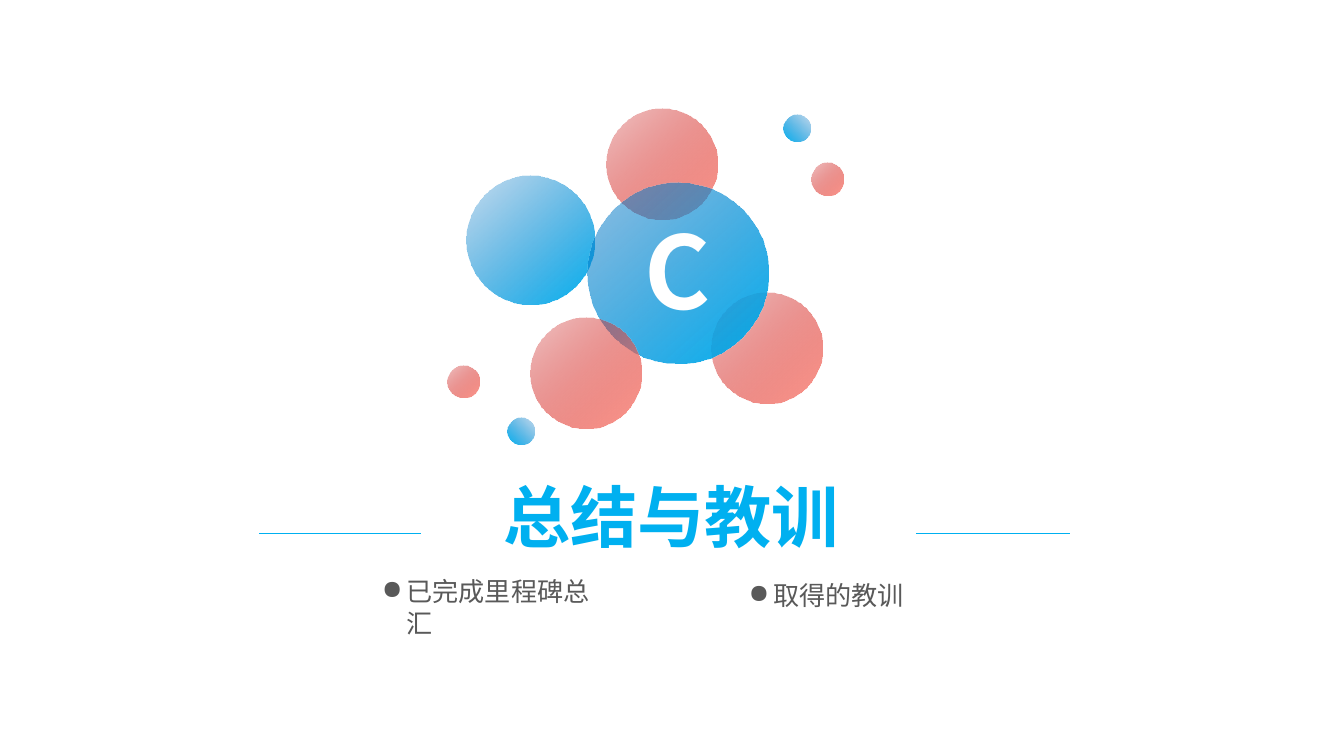
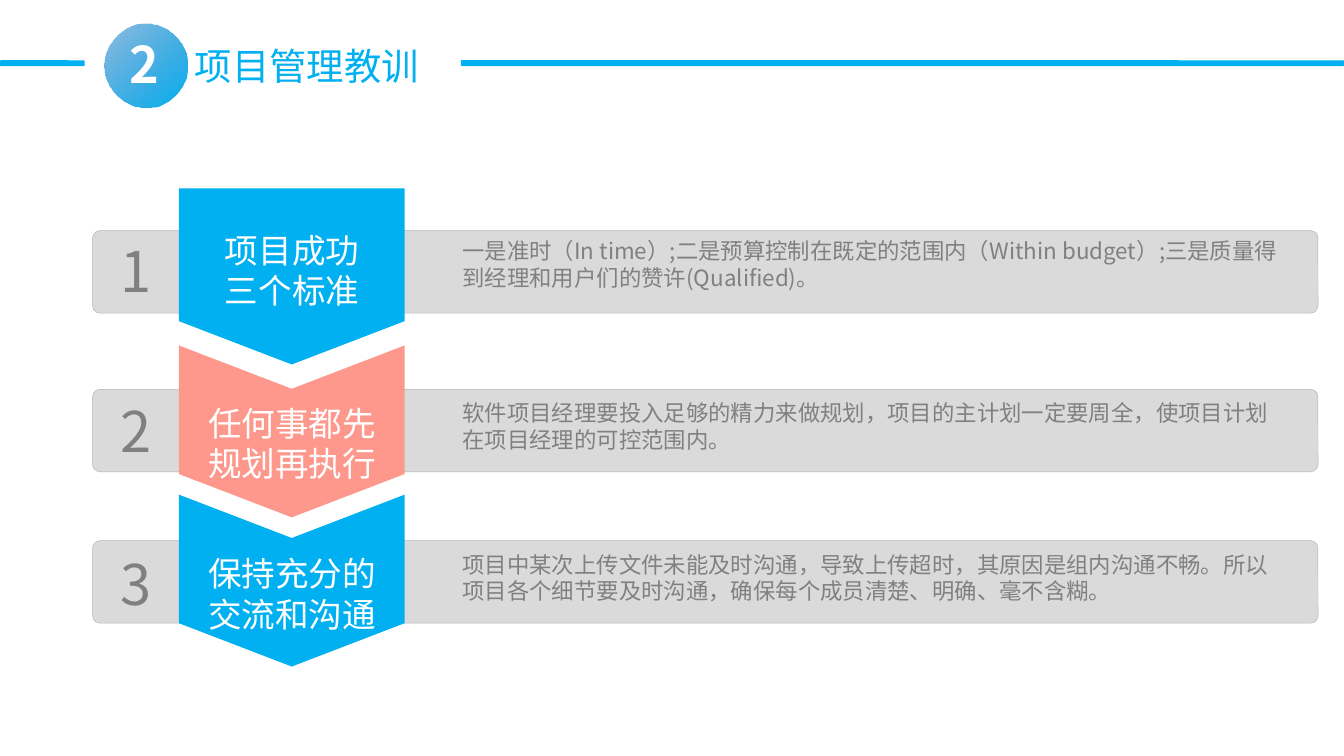
from lxml import etree
from pptx import Presentation
from pptx.dml.color import RGBColor
from pptx.enum.shapes import MSO_CONNECTOR, MSO_SHAPE
from pptx.enum.text import MSO_AUTO_SIZE, PP_ALIGN
from pptx.oxml.ns import qn
from pptx.util import Cm, Pt

OVAL, ROUNDED = MSO_SHAPE.OVAL, MSO_SHAPE.ROUNDED_RECTANGLE
STRAIGHT = MSO_CONNECTOR.STRAIGHT
LEFT, CENTER = PP_ALIGN.LEFT, PP_ALIGN.CENTER
GROW = MSO_AUTO_SIZE.SHAPE_TO_FIT_TEXT

FONT = "Noto Sans CJK SC"
BLUE, CORAL, WHITE = "00B0F0", "FE978C", "FFFFFF"
GREY, DARK_GREY = "808080", "595959"
BAR_FILL, BAR_LINE = "DADADB", "B5B5B7"

RED_BUBBLE = ("C00000", 22, CORAL, 312)
BLUE_BUBBLE = ("0070C0", 22, BLUE, 312)
TINY_BUBBLE = ("0070C0", 22, BLUE, 225)
DEEP_BUBBLE = ("0070C0", 44, BLUE, 312)

BUBBLES = [
    (11.46, 2.05, 2.1, RED_BUBBLE),
    (13.44, 5.53, 2.1, RED_BUBBLE),
    (8.81, 3.32, 2.43, BLUE_BUBBLE),
    (11.1, 3.46, 3.42, DEEP_BUBBLE),
    (14.81, 2.16, 0.51, TINY_BUBBLE),
    (15.34, 3.08, 0.61, RED_BUBBLE),
    (10.03, 6.0, 2.1, RED_BUBBLE),
    (9.59, 7.9, 0.51, TINY_BUBBLE),
    (8.46, 6.91, 0.61, RED_BUBBLE),
]
RULES = [(4.9, 7.95), (17.32, 20.22)]
RULE_TOP = 10.08
TOPICS = [
    ("已完成里程碑总汇", (7.14, 10.8, 4.57, 0.74)),
    ("取得的教训", (14.07, 10.87, 3.1, 0.74)),
]

BANDS = [(8.71, 16.69), (0, 1.6)]
LESSONS = [
    {
        "label": ["项目成功", "三个标准"],
        "body": "一是准时（In time）;二是预算控制在既定的范围内（Within budget）;"
                "三是质量得到经理和用户们的赞许(Qualified)。",
        "color": BLUE, "notch": 0, "height": 3.33,
        "arrow_top": 3.56, "bar_top": 4.36,
        "label_top": 4.24, "body_top": 4.39, "number_top": 4.37,
    },
    {
        "label": ["任何事都先规划再执行"],
        "body": "软件项目经理要投入足够的精力来做规划，项目的主计划一定要周全，"
                "使项目计划在项目经理的可控范围内。",
        "color": CORAL, "notch": 0.82, "height": 3.25,
        "arrow_top": 6.53, "bar_top": 7.36,
        "label_top": 7.52, "body_top": 7.44, "number_top": 7.39,
    },
    {
        "label": ["保持充分的交流和沟通"],
        "body": "项目中某次上传文件未能及时沟通，导致上传超时，其原因是组内沟通不畅。"
                "所以项目各个细节要及时沟通，确保每个成员清楚、明确、毫不含糊。",
        "color": BLUE, "notch": 0.82, "height": 3.25,
        "arrow_top": 9.35, "bar_top": 10.22,
        "label_top": 10.36, "body_top": 10.31, "number_top": 10.29,
    },
]
ARROW_LEFT, ARROW_WIDTH, ARROW_POINT = 3.38, 4.27, 0.82


def rgb(color):
    """Turn a hex string into a colour."""
    return RGBColor.from_string(color)


def paint(shape, fill, line=None):
    """Give a shape a flat fill, an optional hairline and no shadow."""
    shape.shadow.inherit = False
    shape.fill.solid()
    shape.fill.fore_color.rgb = rgb(fill)
    if line:
        shape.line.color.rgb = rgb(line)
        shape.line.width = Pt(0.25)
    else:
        shape.line.fill.background()


def add_bubble(slide, left, top, size, style):
    """Add a circle that fades in from a translucent colour."""
    start, opacity, end, angle = style
    shape = slide.shapes.add_shape(OVAL, Cm(left), Cm(top), Cm(size), Cm(size))
    shape.shadow.inherit = False
    shape.line.fill.background()
    shape.fill.gradient()
    shape.fill.gradient_angle = angle
    for stop, color, position in zip(shape.fill.gradient_stops, (start, end), (0, 1)):
        stop.color.rgb = rgb(color)
        stop.position = position
    first_color = shape._element.spPr.find(".//" + qn("a:srgbClr"))
    etree.SubElement(first_color, qn("a:alpha"), val=str(opacity * 1000))


def add_rounded(slide, box, corner, fill, line=None):
    """Add a flat rounded rectangle."""
    shape = slide.shapes.add_shape(ROUNDED, *map(Cm, box))
    shape.adjustments[0] = corner
    paint(shape, fill, line)


def add_text(slide, lines, box, size, color, bold=False, align=LEFT,
             wrap=True, spacing=None, bullet=None):
    """Add a text box with one paragraph for each line."""
    frame = slide.shapes.add_textbox(*map(Cm, box)).text_frame
    inset = Cm(0.08 if bullet else 0.1)
    settings = {"word_wrap": wrap, "auto_size": GROW}
    for side in ("left", "top", "right", "bottom"):
        settings["margin_" + side] = inset
    for name, value in settings.items():
        setattr(frame, name, value)
    for index, line in enumerate(lines):
        paragraph = frame.add_paragraph() if index else frame.paragraphs[0]
        paragraph.alignment = align
        if bullet:
            properties = paragraph._p.get_or_add_pPr()
            properties.set("marL", str(Cm(0.46)))
            properties.set("indent", str(-Cm(0.46)))
            etree.SubElement(properties, qn("a:buChar"), char=bullet)
        run = paragraph.add_run()
        run.text = line
        for name, value in {"name": FONT, "size": Pt(size), "bold": bold}.items():
            setattr(run.font, name, value)
        run.font.color.rgb = rgb(color)
        run_properties = run._r.get_or_add_rPr()
        latin = run_properties.find(qn("a:latin"))
        east_asian = etree.Element(qn("a:ea"), typeface=FONT)
        latin.addnext(east_asian)
        if spacing:
            run_properties.set("spc", str(spacing))


def add_rule(slide, start, end, top):
    """Add a thin horizontal line."""
    line = slide.shapes.add_connector(STRAIGHT, Cm(start), Cm(top), Cm(end), Cm(top))
    line.line.color.rgb = rgb(BLUE)
    line.line.width = Pt(0.75)
    etree.SubElement(line._element.spPr, qn("a:effectLst"))


def add_arrow(slide, top, height, notch, color):
    """Add a downward arrow block whose top edge may be notched."""
    right, middle = ARROW_LEFT + ARROW_WIDTH, ARROW_LEFT + ARROW_WIDTH / 2
    shoulder = top + height - ARROW_POINT
    points = [(right, top), (right, shoulder), (middle, top + height),
              (ARROW_LEFT, shoulder), (ARROW_LEFT, top)]
    if notch:
        points.append((middle, top + notch))
    corners = [(Cm(x), Cm(y)) for x, y in points]
    builder = slide.shapes.build_freeform(*corners[0])
    builder.add_line_segments(corners[1:], close=True)
    paint(builder.convert_to_shape(), color)


def build_section(slide):
    """Build the section opener."""
    for bubble in BUBBLES:
        add_bubble(slide, *bubble)
    add_text(slide, ["C"], (11.13, 3.84, 3.35, 2.49), 54, WHITE,
             bold=True, align=CENTER, spacing=-220)
    add_text(slide, ["总结与教训"], (7.34, 8.89, 10.69, 1.73), 36, BLUE,
             bold=True, align=CENTER)
    for start, end in RULES:
        add_rule(slide, start, end, RULE_TOP)
    for topic, box in TOPICS:
        add_text(slide, [topic], box, 14, DARK_GREY, wrap=False, bullet="●")


def add_header(slide, number, title):
    """Add the numbered title between two bands."""
    add_text(slide, [title], (3.58, 0.71, 4.47, 1.04), 20, BLUE, wrap=False)
    for left, width in BANDS:
        add_rounded(slide, (left, 1.14, width, 0.11), 0.17, BLUE)
    add_bubble(slide, 1.97, 0.45, 1.58, DEEP_BUBBLE)
    add_text(slide, [number], (1.47, 0.53, 2.51, 1.42), 27, WHITE,
             bold=True, align=CENTER, spacing=-220)


def build_lessons(slide):
    """Build the three lessons."""
    add_header(slide, "2", "项目管理教训")
    for number, lesson in enumerate(LESSONS, 1):
        add_rounded(slide, (1.75, lesson["bar_top"], 23.16, 1.56), 0.09,
                    BAR_FILL, BAR_LINE)
        add_arrow(slide, lesson["arrow_top"], lesson["height"],
                  lesson["notch"], lesson["color"])
        add_text(slide, [lesson["body"]], (8.64, lesson["body_top"], 15.82, 1.22),
                 12, GREY)
        add_text(slide, lesson["label"], (3.73, lesson["label_top"], 3.58, 1.73),
                 18, WHITE, align=CENTER)
        add_text(slide, [str(number)], (1.88, lesson["number_top"], 1.4, 1.45),
                 30, GREY, align=CENTER)


def main():
    """Build and save the presentation."""
    presentation = Presentation()
    presentation.slide_width, presentation.slide_height = Cm(25.4), Cm(14.29)
    for build in (build_section, build_lessons):
        build(presentation.slides.add_slide(presentation.slide_layouts[6]))
    presentation.save("out.pptx")


if __name__ == "__main__":
    main()
